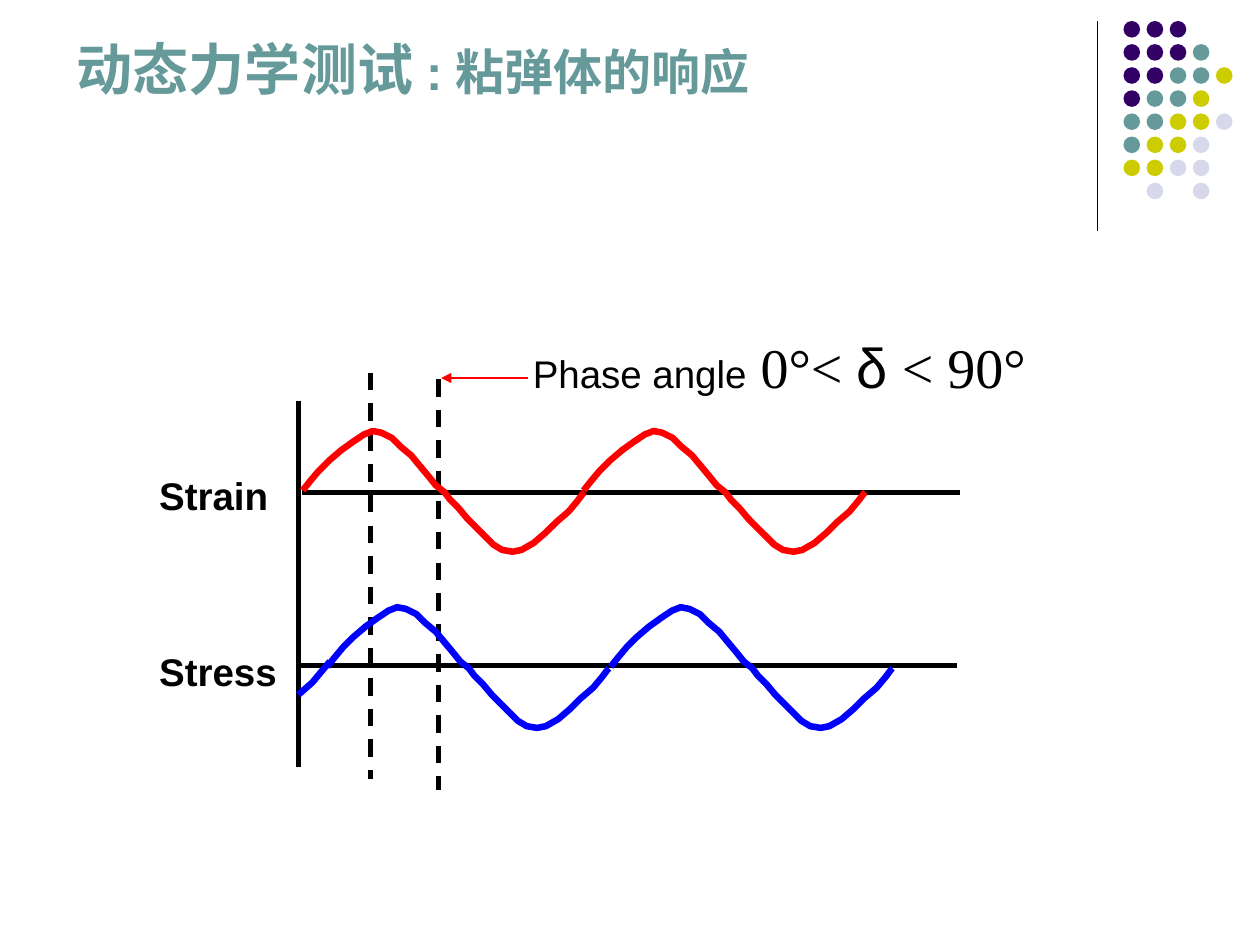
"""Build a slide on the dynamic response of viscoelastic bodies."""
from lxml.etree import SubElement
from pptx import Presentation
from pptx.dml.color import RGBColor
from pptx.enum.dml import MSO_LINE_DASH_STYLE as Dash
from pptx.enum.shapes import MSO_CONNECTOR as Link, MSO_SHAPE as Form
from pptx.enum.text import MSO_ANCHOR as Anchor
from pptx.oxml.ns import qn
from pptx.util import Pt

BLACK, RED, BLUE, TEAL = "000000", "FF0000", "0000FF", "669999"
SANS, SERIF = "Arial", "Times New Roman"
TINTS = {"P": "330066", "T": TEAL, "Y": "CCCC00", "L": "D8D8EC"}
DOTS = ["PPP", "PPPT", "PPTTY", "PTTY", "TTYYL", "TYYL", "YYLL", " L L"]
WAVE = [
    (0, 34), (4, 29), (9, 23), (15, 17), (22, 11), (29, 6), (35, 2), (40, 0),
    (45, 1), (51, 4), (56, 9), (62, 14), (67, 20), (72, 26), (76, 31), (81, 35),
    (84, 39), (89, 44), (94, 50), (99, 55), (104, 60), (109, 65), (114, 68), (120, 69),
    (125, 68), (132, 64), (139, 58), (145, 52), (152, 46), (157, 40), (160, 36), (161, 35),
]
STUB = [(0, 19), (8, 12), (13, 6), (18, 0)]


def tint(code):
    """Turn a hex string into a colour."""
    return RGBColor.from_string(code)


def add_line(slide, x1, y1, x2, y2, color=BLACK, width=2.5, dash=None, head=False):
    """Draw a straight line, with an arrowhead at its start if asked."""
    line = slide.shapes.add_connector(Link.STRAIGHT, Pt(x1), Pt(y1), Pt(x2), Pt(y2))
    line.line.color.rgb = tint(color)
    line.line.width = Pt(width)
    if dash:
        line.line.dash_style = dash
    if head:
        SubElement(line.line._get_or_add_ln(), qn("a:headEnd"), type="triangle")
    SubElement(line._element.spPr, qn("a:effectLst"))


def add_dots(slide, left, top, pitch, size):
    """Draw the corner grid of dots."""
    for row, marks in enumerate(DOTS):
        for col, mark in enumerate(marks):
            if mark in TINTS:
                dot = slide.shapes.add_shape(
                    Form.OVAL, Pt(left + col * pitch), Pt(top + row * pitch), Pt(size), Pt(size))
                dot.shadow.inherit = False
                dot.fill.solid()
                dot.fill.fore_color.rgb = tint(TINTS[mark])
                dot.line.fill.background()


def add_curve(slide, left, top, steps, color):
    """Draw an open curve through steps measured from its top left."""
    spots = [(Pt(left + x), Pt(top + y)) for x, y in steps]
    pen = slide.shapes.build_freeform(*spots[0])
    pen.add_line_segments(spots[1:], close=False)
    curve = pen.convert_to_shape()
    curve.shadow.inherit = False
    curve.fill.background()
    curve.line.color.rgb = tint(color)
    curve.line.width = Pt(3.75)


def add_text(slide, left, top, width, height, runs, color=BLACK, bold=False,
             anchor=Anchor.TOP, space=1.0):
    """Write one paragraph from runs of text, size and font."""
    frame = slide.shapes.add_textbox(Pt(left), Pt(top), Pt(width), Pt(height)).text_frame
    frame.margin_left = frame.margin_right = frame.margin_top = frame.margin_bottom = 0
    frame.word_wrap = True
    frame.vertical_anchor = anchor
    para = frame.paragraphs[0]
    para.line_spacing = space
    para.font.bold = bold
    para.font.color.rgb = tint(color)
    for text, size, face in runs:
        run = para.add_run()
        run.text = text
        run.font.size = Pt(size)
        run.font.name = face


def main():
    """Build and save the slide."""
    deck = Presentation()
    deck.slide_width, deck.slide_height = Pt(720), Pt(540)
    slide = deck.slides.add_slide(deck.slide_layouts[6])

    add_line(slide, 627, 12.2, 627, 132, width=0.75)
    add_dots(slide, 642, 12, 13.2, 9.5)
    add_text(slide, 44, 24, 640, 34,
             [("动态力学测试 ", 32, SANS), (": 粘弹体的响应", 28, SANS)],
             TEAL, True, Anchor.BOTTOM, 0.8)

    add_text(slide, 304.5, 190, 320, 50,
             [("Phase angle", 22, SANS), (" 0°< ", 32, SERIF),
              ("δ", 32, SANS), (" < 90°", 32, SERIF)])
    add_line(slide, 252, 216, 301.5, 216, RED, 1.5, head=True)

    add_line(slide, 170.7, 229, 170.7, 438.5)
    add_line(slide, 172, 380.3, 547, 380.3)
    add_line(slide, 172.8, 281.5, 548.5, 281.5)
    add_line(slide, 211.7, 213, 211.7, 445, dash=Dash.DASH)
    add_line(slide, 250.5, 216.7, 250.5, 451.4, dash=Dash.DASH)

    for lefts, top, color in [((173, 333.5), 246.3, RED), ((187, 349), 347, BLUE)]:
        for left in lefts:
            add_curve(slide, left, top, WAVE, color)
    add_curve(slide, 170.5, 378, STUB, BLUE)

    for text, top in [("Strain", 270), ("Stress", 370.5)]:
        add_text(slide, 91, top, 76, 28, [(text, 22, SANS)], bold=True)

    deck.save("out.pptx")


if __name__ == "__main__":
    main()
